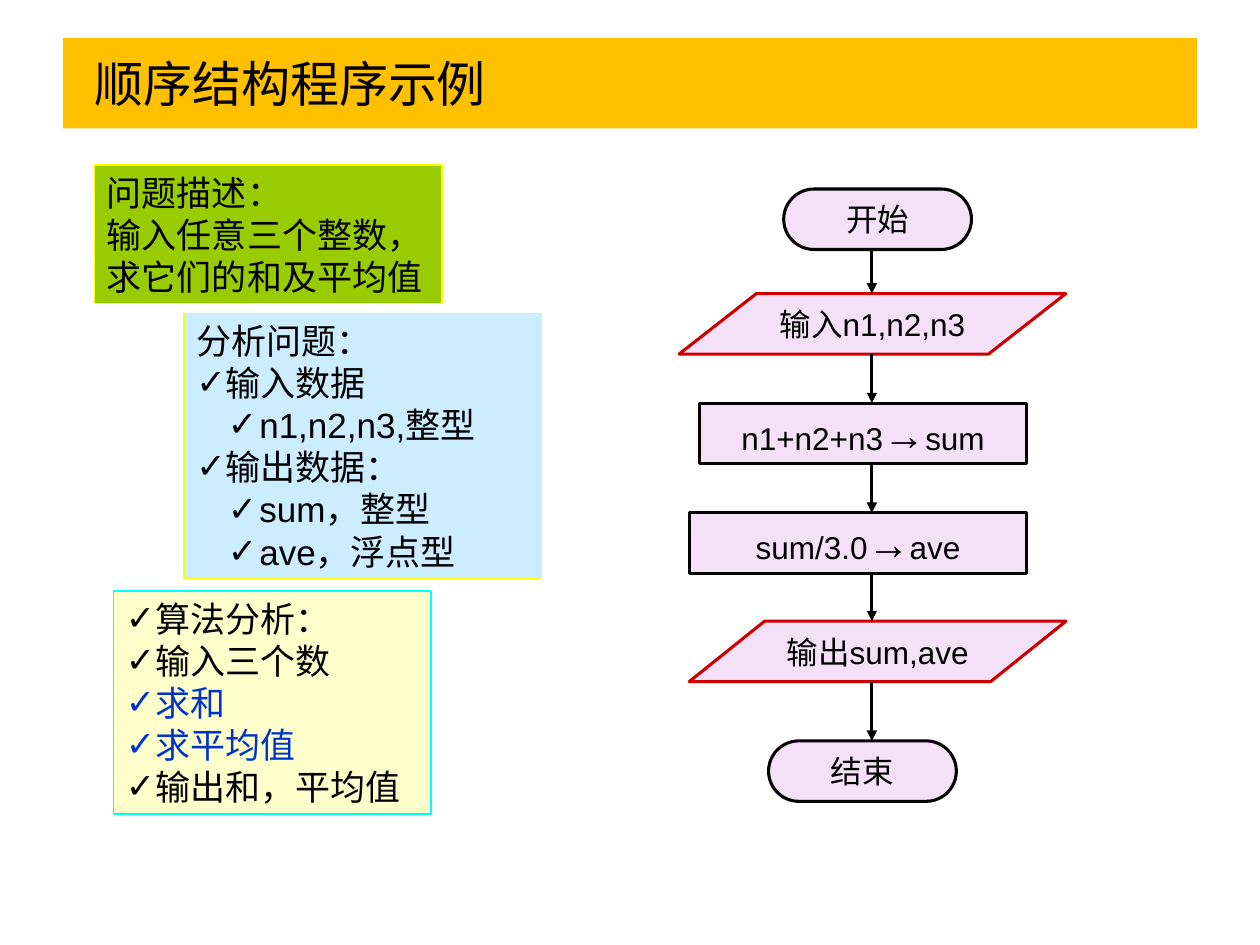
from lxml import etree
from pptx import Presentation
from pptx.dml.color import RGBColor
from pptx.enum.shapes import MSO_CONNECTOR, MSO_SHAPE
from pptx.enum.text import MSO_ANCHOR, PP_ALIGN
from pptx.oxml.ns import qn
from pptx.util import Inches, Pt

RECTANGLE = MSO_SHAPE.RECTANGLE
TERMINATOR = MSO_SHAPE.FLOWCHART_TERMINATOR
DATA = MSO_SHAPE.FLOWCHART_DATA
PROCESS = MSO_SHAPE.FLOWCHART_PROCESS
STRAIGHT = MSO_CONNECTOR.STRAIGHT
TOP, MIDDLE = MSO_ANCHOR.TOP, MSO_ANCHOR.MIDDLE
LEFT, CENTER = PP_ALIGN.LEFT, PP_ALIGN.CENTER

FONT = "Arial"
COLORS = {
    "black": "000000", "blue": "0033CC", "red": "CC0000", "orange": "FFC000",
    "green": "99CC00", "sky": "CCECFF", "cream": "FFFFCC", "lilac": "F4E1F7",
    "yellow": "FFFF00", "cyan": "00FFFF",
}

# Content
TITLE = "顺序结构程序示例"

# Left margin and first-line indent of each bullet level
BULLET_INDENTS = [(0, 0), (0.5, -0.25)]

# Notes: position, fill, outline, lines of (text, bullet level or None, color)
NOTES = [
    ((0.75, 1.31, 2.76, 1.1), "green", "yellow", [
        ("问题描述：", None, "black"),
        ("输入任意三个整数，求它们的和及平均值", None, "black"),
    ]),
    ((1.46, 2.49, 2.84, 2.1), "sky", "yellow", [
        ("分析问题：", None, "black"),
        ("输入数据", 0, "black"),
        ("n1,n2,n3,整型", 1, "black"),
        ("输出数据：", 0, "black"),
        ("sum，整型", 1, "black"),
        ("ave，浮点型", 1, "black"),
    ]),
    ((0.9, 4.69, 2.52, 1.77), "cream", "cyan", [
        ("算法分析：", 0, "black"),
        ("输入三个数", 0, "black"),
        ("求和", 0, "blue"),
        ("求平均值", 0, "blue"),
        ("输出和，平均值", 0, "black"),
    ]),
]

# Flowchart steps: shape, left, top, width, outline, text pieces
STEP_HEIGHT = 0.48
STEPS = [
    (TERMINATOR, 6.22, 1.5, 1.49, "black", ["开始"]),
    (DATA, 5.39, 2.33, 3.07, "red", ["输入n1,n2,n3"]),
    (PROCESS, 5.55, 3.2, 2.6, "black", ["n1+n2+n3", "→", "sum"]),
    (PROCESS, 5.47, 4.07, 2.68, "black", ["sum/3.0", "→", "ave"]),
    (DATA, 5.47, 4.93, 2.99, "red", ["输出sum,ave"]),
    (TERMINATOR, 6.1, 5.88, 1.49, "black", ["结束"]),
]
ARROW_X = 6.92


def rgb(name):
    return RGBColor.from_string(COLORS[name])


def add_box(page, kind, place, fill, outline=None, weight=0.75, anchor=MIDDLE):
    box = page.shapes.add_shape(kind, *map(Inches, place))
    box.shadow.inherit = False
    box.fill.solid()
    box.fill.fore_color.rgb = rgb(fill)
    if outline:
        box.line.color.rgb = rgb(outline)
        box.line.width = Pt(weight)
    else:
        box.line.fill.background()
    box.text_frame.word_wrap = True
    box.text_frame.vertical_anchor = anchor
    return box


def add_span(para, text, size, color="black"):
    span = para.add_run()
    span.text = text
    span.font.name = FONT
    span.font.size = Pt(size)
    span.font.color.rgb = rgb(color)


def add_bullet(para, level, color):
    para.level = level
    margin, indent = BULLET_INDENTS[level]
    properties = para._p.get_or_add_pPr()
    properties.set("marL", str(Inches(margin)))
    properties.set("indent", str(Inches(indent)))
    bullet_color = etree.SubElement(properties, qn("a:buClr"))
    etree.SubElement(bullet_color, qn("a:srgbClr"), val=COLORS[color])
    etree.SubElement(properties, qn("a:buFont"), typeface=FONT)
    etree.SubElement(properties, qn("a:buChar"), char="✓")


def add_note(page, place, fill, outline, lines):
    frame = add_box(page, RECTANGLE, place, fill, outline, anchor=TOP).text_frame
    for index, (text, level, color) in enumerate(lines):
        para = frame.add_paragraph() if index else frame.paragraphs[0]
        para.alignment = LEFT
        if level is not None:
            add_bullet(para, level, color)
        add_span(para, text, 20, color)


def add_step(page, kind, left, top, width, outline, pieces):
    place = (left, top, width, STEP_HEIGHT)
    frame = add_box(page, kind, place, "lilac", outline, weight=1.75).text_frame
    frame.word_wrap = False
    para = frame.paragraphs[0]
    para.alignment = CENTER
    for piece in pieces:
        add_span(para, piece, 24 if piece == "→" else 18)


def add_arrow(page, start, end):
    arrow = page.shapes.add_connector(
        STRAIGHT, Inches(ARROW_X), Inches(start), Inches(ARROW_X), Inches(end))
    arrow.line.color.rgb = rgb("black")
    arrow.line.width = Pt(1.75)
    etree.SubElement(arrow.line._get_or_add_ln(), qn("a:tailEnd"), type="triangle")
    etree.SubElement(arrow._element.spPr, qn("a:effectLst"))


def main():
    deck = Presentation()
    deck.slide_width, deck.slide_height = Inches(10), Inches(7.5)
    page = deck.slides.add_slide(deck.slide_layouts[6])

    # Title bar
    frame = add_box(page, RECTANGLE, (0.5, 0.3, 9, 0.72), "orange").text_frame
    frame.margin_left = Inches(0.25)
    frame.paragraphs[0].alignment = LEFT
    add_span(frame.paragraphs[0], TITLE, 28)

    # Notes on the left
    for note in NOTES:
        add_note(page, *note)

    # Flowchart on the right
    for step in STEPS:
        add_step(page, *step)
    for upper, lower in zip(STEPS, STEPS[1:]):
        add_arrow(page, upper[2] + STEP_HEIGHT, lower[2])

    deck.save("out.pptx")


if __name__ == "__main__":
    main()
